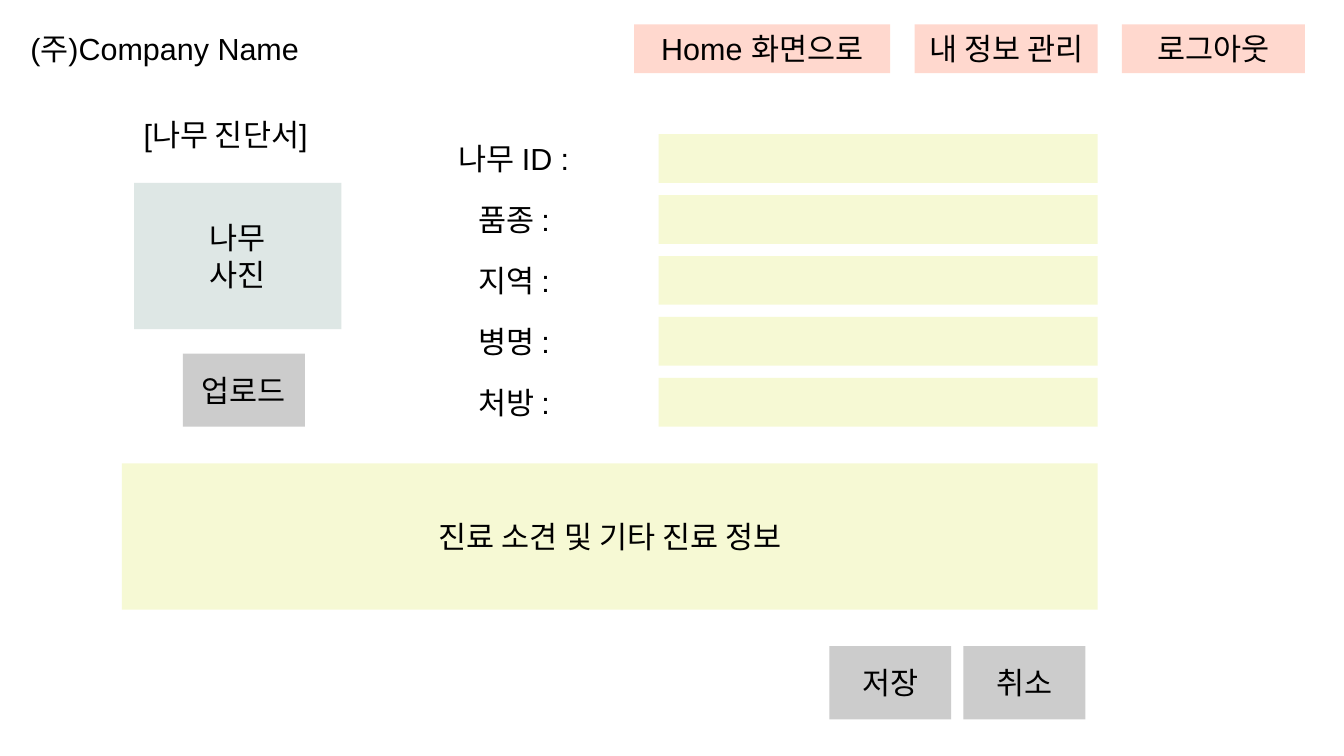
from collections import namedtuple

from pptx import Presentation
from pptx.dml.color import RGBColor
from pptx.enum.shapes import MSO_SHAPE
from pptx.enum.text import MSO_ANCHOR, MSO_AUTO_SIZE, PP_ALIGN
from pptx.util import Inches, Pt

COLORS = {"paper": "FFFFFF", "ink": "000000", "nav": "FFD8CE",
          "button": "CCCCCC", "photo": "DEE7E5", "field": "F6F9D4"}
FONT, TEXT_SIZE = "Arial", 18
CELL = 0.1  # side of one grid cell in inches

Box = namedtuple("Box", "col row cols rows")


def within(box, col, row, cols, rows):
    """Box placed relative to the corner of its region."""
    return Box(box.col + col, box.row + row, cols, rows)


def place(shape, box):
    shape.left, shape.top, shape.width, shape.height = (
        Inches(round(cells * CELL, 2)) for cells in box)


def write(shape, text):
    frame = shape.text_frame
    frame.text = text
    frame.word_wrap = False
    frame.auto_size = MSO_AUTO_SIZE.NONE
    frame.vertical_anchor = MSO_ANCHOR.MIDDLE
    for paragraph in frame.paragraphs:
        paragraph.alignment = PP_ALIGN.CENTER
        for run in paragraph.runs:
            run.font.name = FONT
            run.font.size = Pt(TEXT_SIZE)
            run.font.color.rgb = RGBColor.from_string(COLORS["ink"])


def panel(slide, box, color, text=""):
    shape = slide.shapes.add_shape(MSO_SHAPE.RECTANGLE, 0, 0, 0, 0)
    place(shape, box)
    shape.shadow.inherit = False
    shape.fill.solid()
    shape.fill.fore_color.rgb = RGBColor.from_string(COLORS[color])
    shape.line.fill.background()
    if text:
        write(shape, text)


def button_row(slide, box, color, buttons, gap):
    """Buttons from left to right, each given as text and columns."""
    col = 0
    for text, cols in buttons:
        panel(slide, within(box, col, 0, cols, box.rows), color, text)
        col += cols + gap


def header(slide, box):
    panel(slide, within(box, 0, 0, 21, box.rows), "paper", "(주)Company Name")
    button_row(slide, within(box, 49, 1, 55, 4), "nav",
               [("Home 화면으로", 21), ("내 정보 관리", 15), ("로그아웃", 15)], gap=2)


def photo_area(slide, box):
    title = slide.shapes.title
    place(title, within(box, 0, 0, box.cols, 4))
    write(title, "[나무 진단서]")
    panel(slide, within(box, 6, 6, 17, 12), "photo", "나무\n사진")
    panel(slide, within(box, 10, 20, 10, 6), "button", "업로드")


def record_form(slide, box, names):
    label_cols, gap, field_rows = 21, 1, 4
    pitch = box.rows / len(names)
    for index, name in enumerate(names):
        row = index * pitch
        panel(slide, within(box, 0, row, label_cols, pitch), "paper", f"{name} : ")
        panel(slide, within(box, label_cols + gap, row + (pitch - field_rows) / 2,
                            box.cols - label_cols - gap, field_rows), "field")


def diagnosis_page(prs):
    slide = prs.slides.add_slide(prs.slide_layouts.get_by_name("Title Only"))
    header(slide, Box(3, 1, 104, 6))
    photo_area(slide, Box(5, 9, 27, 26))
    record_form(slide, Box(32, 10.5, 58, 25),
                ["나무 ID", "품종", "지역", "병명", "처방"])
    # Findings and closing buttons
    panel(slide, Box(10, 38, 80, 12), "field", "진료 소견 및 기타 진료 정보")
    button_row(slide, Box(68, 53, 21, 6), "button", [("저장", 10), ("취소", 10)], gap=1)


prs = Presentation()
prs.slide_width, prs.slide_height = Inches(11.02), Inches(6.2)
diagnosis_page(prs)
prs.save("out.pptx")
